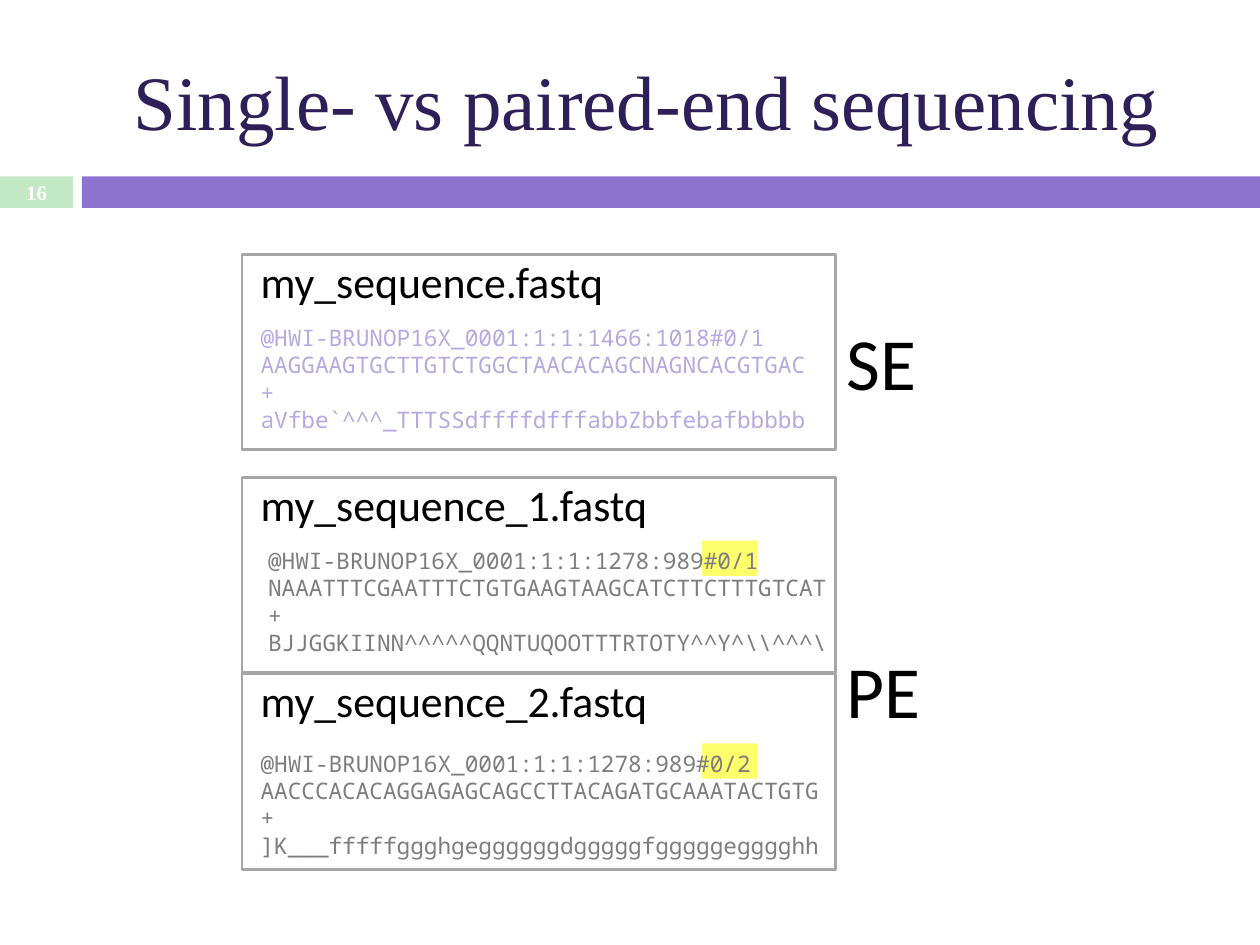
from lxml.etree import SubElement
from pptx import Presentation
from pptx.dml.color import RGBColor
from pptx.enum.shapes import MSO_SHAPE as Shape
from pptx.enum.text import MSO_ANCHOR as Anchor, PP_ALIGN as Align
from pptx.oxml.ns import qn
from pptx.util import Inches, Pt

COLORS = {
    "green": "C2E8C4", "purple": "8C73D0", "lilac": "B7A9E0",
    "title": "2F1F58", "gray": "7D7D7D", "frame": "A6A6A6",
    "yellow": "FFFF00", "black": "000000", "white": "FFFFFF",
}
SERIF, SANS, MONO = "Times New Roman", "Calibri", "Noto Sans Mono"
FRAME_LEFT, FRAME_WIDTH, FRAME_HEIGHT = 1.92, 4.71, 1.55

# frame top, file name, record left, record top, record colour, record lines
FILES = [
    (2.02, "my_sequence.fastq", 1.97, 2.52, "lilac", [
        "@HWI-BRUNOP16X_0001:1:1:1466:1018#0/1",
        "AAGGAAGTGCTTGTCTGGCTAACACAGCNAGNCACGTGAC",
        "+",
        "aVfbe`^^^_TTTSSdffffdfffabbZbbfebafbbbbb"]),
    (3.79, "my_sequence_1.fastq", 2.03, 4.29, "gray", [
        "@HWI-BRUNOP16X_0001:1:1:1278:989#0/1",
        "NAAATTTCGAATTTCTGTGAAGTAAGCATCTTCTTTGTCAT",
        "+",
        "BJJGGKIINN^^^^^QQNTUQOOTTTRTOTY^^Y^\\\\^^^\\"]),
    (5.35, "my_sequence_2.fastq", 1.97, 5.9, "gray", [
        "@HWI-BRUNOP16X_0001:1:1:1278:989#0/2",
        "AACCCACACAGGAGAGCAGCCTTACAGATGCAAATACTGTG",
        "+",
        "]K___fffffggghgeggggggdgggggfgggggegggghh"]),
]


def rgb(name):
    return RGBColor.from_string(COLORS[name])


def add_rectangle(page, at, fill=None, line=None, alpha=None):
    """Add a rectangle; alpha is the opacity of the fill in percent."""
    box = page.shapes.add_shape(Shape.RECTANGLE, *map(Inches, at))
    box.shadow.inherit = False
    if fill:
        box.fill.solid()
        box.fill.fore_color.rgb = rgb(fill)
    else:
        box.fill.background()
    if line:
        box.line.color.rgb = rgb(line)
        box.line.width = Pt(1.5)
    else:
        box.line.fill.background()
    if alpha:
        color = box.fill._xPr.find(".//" + qn("a:srgbClr"))
        SubElement(color, qn("a:alpha"), val=str(alpha * 1000))


def add_text(page, at, text, size, font, color, bold=False, centered=False, spacing=None):
    box = page.shapes.add_textbox(*map(Inches, at))
    frame = box.text_frame
    frame.word_wrap = True
    frame.text = text
    if centered:
        frame.vertical_anchor = Anchor.MIDDLE
    for para in frame.paragraphs:
        para.alignment = Align.CENTER if centered else Align.LEFT
        if spacing:
            para.line_spacing = Pt(spacing)
        for span in para.runs:
            span.font.size = Pt(size)
            span.font.name = font
            span.font.bold = bold
            span.font.color.rgb = rgb(color)


def add_file(page, top, name, record_left, record_top, color, lines):
    """Add a framed file name with its sequence record."""
    add_text(page, (record_left, record_top, 5.87, 0.98), "\n".join(lines),
             13, MONO, color, spacing=15.6)
    add_rectangle(page, (FRAME_LEFT, top, FRAME_WIDTH, FRAME_HEIGHT), line="frame")
    add_text(page, (1.97, top - 0.05, 3.61, 0.52), name, 25, SANS, "black")


def main():
    deck = Presentation()
    deck.slide_width, deck.slide_height = Inches(10), Inches(7.5)
    page = deck.slides.add_slide(deck.slide_layouts[6])

    add_rectangle(page, (0, 1.4, 0.58, 0.25), fill="green")
    add_rectangle(page, (0.65, 1.4, 9.35, 0.25), fill="purple")
    for top in (4.29, 5.9):
        add_rectangle(page, (5.57, top, 0.44, 0.28), fill="yellow", alpha=58)
    for file in FILES:
        add_file(page, *file)
    for label, top in (("SE", 2.47), ("PE", 5.07)):
        add_text(page, (6.62, top, 0.89, 0.81), label, 42, SANS, "black")
    add_text(page, (0.67, 0.25, 8.92, 1.08), "Single- vs paired-end sequencing",
             44, SERIF, "title", centered=True)
    add_text(page, (0, 1.39, 0.58, 0.27), "16", 11.9, SERIF, "white",
             bold=True, centered=True)
    deck.save("out.pptx")


if __name__ == "__main__":
    main()
